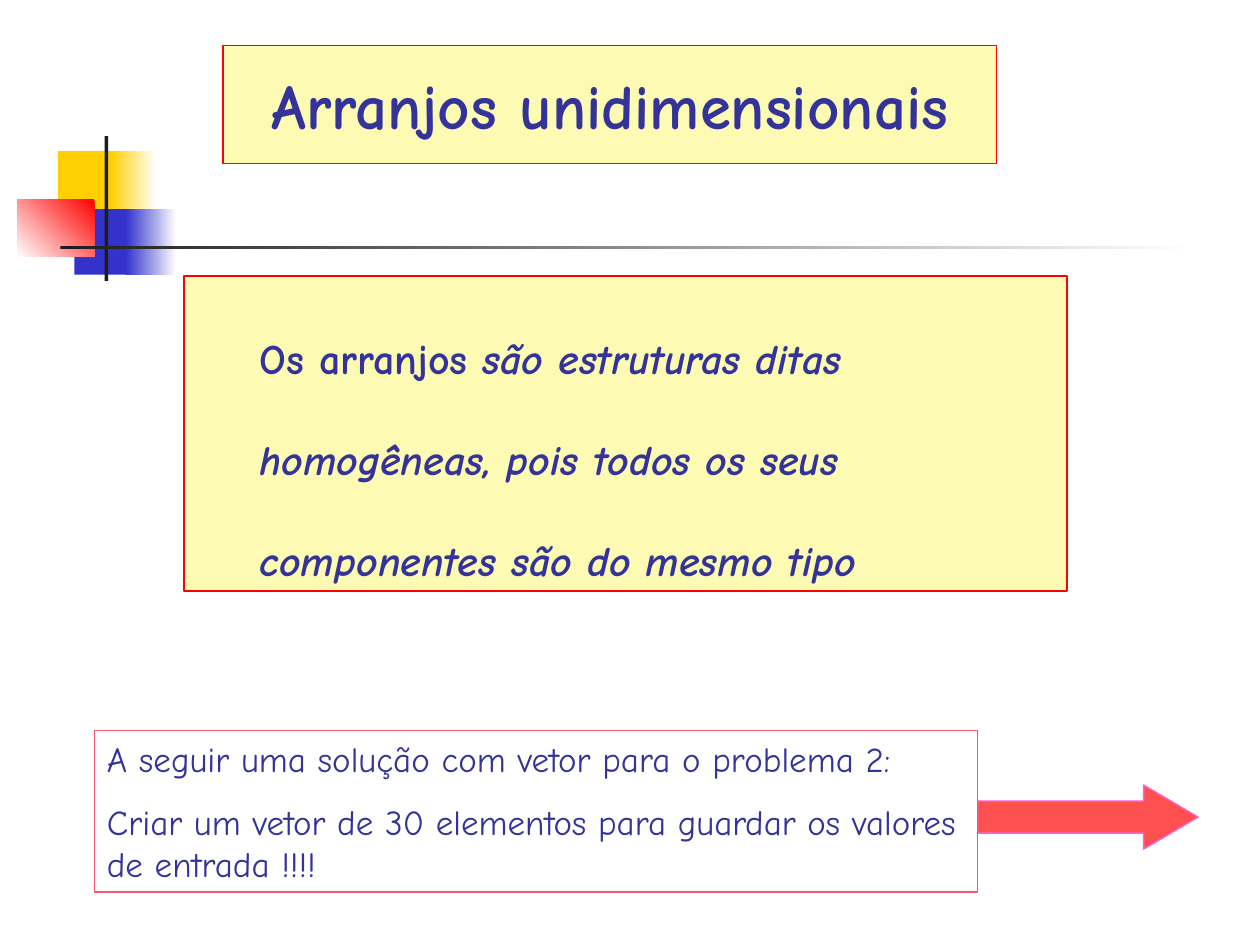
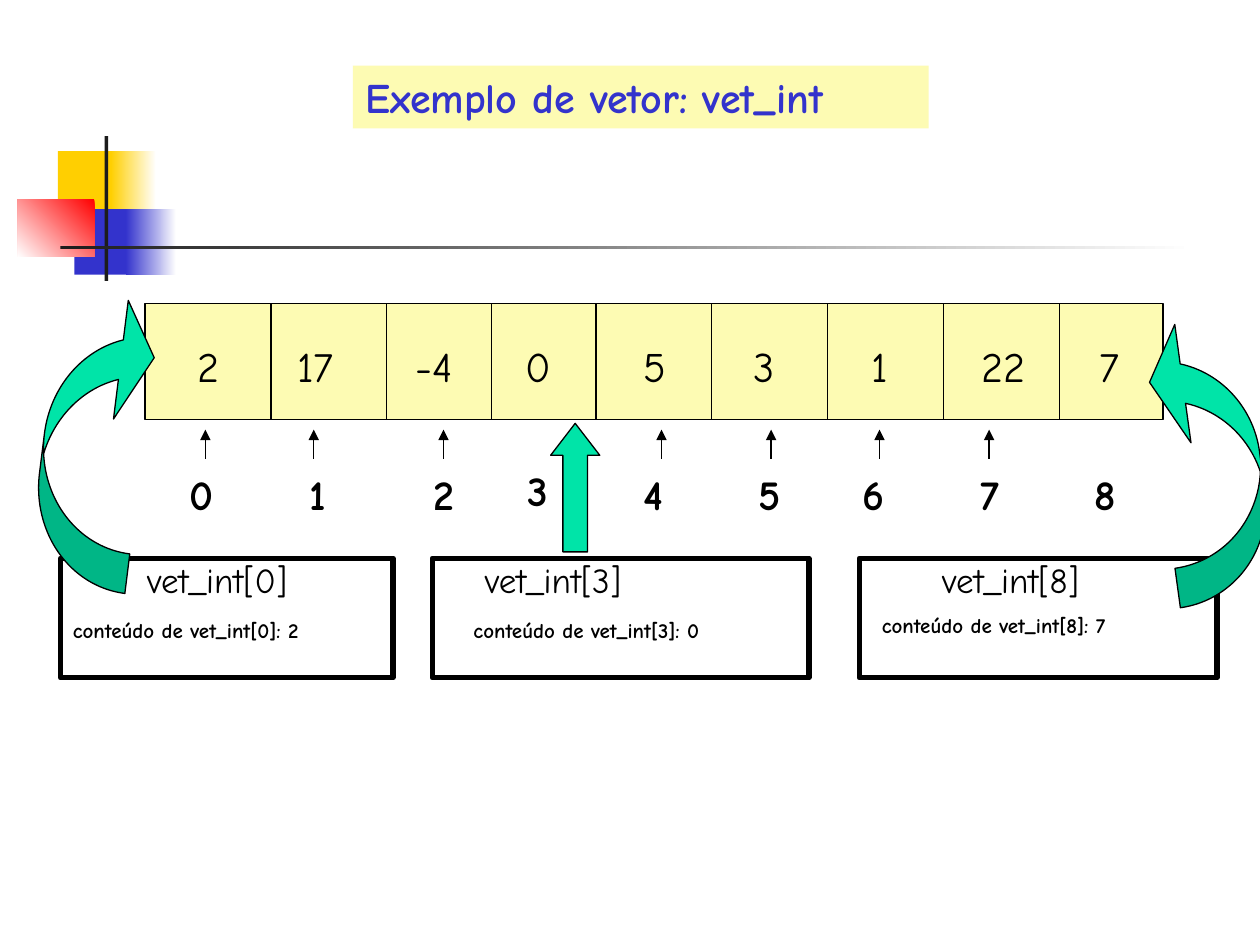
from itertools import accumulate

from lxml import etree
from pptx import Presentation
from pptx.dml.color import RGBColor
from pptx.enum.shapes import MSO_CONNECTOR, MSO_SHAPE
from pptx.enum.text import MSO_ANCHOR, MSO_AUTO_SIZE, PP_ALIGN
from pptx.oxml.ns import qn
from pptx.util import Inches, Pt

RECTANGLE = MSO_SHAPE.RECTANGLE
STRAIGHT = MSO_CONNECTOR.STRAIGHT
TOP, MIDDLE = MSO_ANCHOR.TOP, MSO_ANCHOR.MIDDLE
LEFT, CENTER = PP_ALIGN.LEFT, PP_ALIGN.CENTER

WHITE = RGBColor(0xFF, 0xFF, 0xFF)
BLACK = RGBColor(0x00, 0x00, 0x00)
CHARCOAL = RGBColor(0x1C, 0x1C, 0x1C)
GOLD = RGBColor(0xFF, 0xCF, 0x01)
BLUE = RGBColor(0x33, 0x33, 0xCC)
NAVY = RGBColor(0x33, 0x33, 0x99)
RED = RGBColor(0xFF, 0x00, 0x00)
CREAM = RGBColor(0xFD, 0xFB, 0xB3)
CORAL = RGBColor(0xFF, 0x50, 0x50)
PINK = RGBColor(0xF9, 0x55, 0x70)
MAGENTA = RGBColor(0xF8, 0x64, 0xDC)
GREEN = RGBColor(0x00, 0xE4, 0xA8)

FONT = "Comic Neue"
THIN, THICK = 0.74, 3

DECORATION = [
    ((0.46, 1.2, 0.48, 0.52), GOLD, None),
    ((0.88, 1.2, 0.36, 0.52), GOLD, 0),
    ((0.59, 1.66, 0.46, 0.52), BLUE, None),
    ((1, 1.66, 0.4, 0.52), BLUE, 0),
    ((0.14, 1.58, 0.61, 0.46), RED, 225),
    ((0.83, 1.08, 0.03, 1.15), CHARCOAL, None),
    ((0.48, 1.95, 9, 0.03), CHARCOAL, 0),
]

ROW_TOP, ROW_HEIGHT = 2.41, 0.92
CELL_WIDTHS = [1, 0.92, 0.83, 0.83, 0.92, 0.92, 0.92, 0.92, 0.82]
CELL_EDGES = list(accumulate(CELL_WIDTHS, initial=1.15))
VALUES = ["2", "17", "-4", "0", "5", "3", "1", "22", "7"]
VALUE_LEFTS = [1.47, 2.26, 3.2, 4.07, 5.01, 5.88, 6.82, 7.69, 8.63]
INDEX_LEFTS = [1.41, 2.36, 3.34, 4.09, 5.01, 5.92, 6.75, 7.68, 8.59]
POINTER_CENTERS = [1.63, 2.49, 3.52, 5.25, 6.12, 6.98, 7.85]

CALLOUTS = [
    (0, "2", (0.48, 2.64), 1.07, (0.48, 4.85)),
    (3, "0", (3.43, 2.99), 3.75, (3.66, 4.85)),
    (8, "7", (6.82, 2.84), 7.38, (6.9, 4.81)),
]


def place(shape, box):
    shape.left, shape.top, shape.width, shape.height = map(Inches, box)


def paint(shape, fill=None, line=None, width=THIN):
    if fill is None:
        shape.fill.background()
    else:
        shape.fill.solid()
        shape.fill.fore_color.rgb = fill
    if line is None:
        shape.line.fill.background()
    else:
        shape.line.color.rgb = line
        shape.line.width = Pt(width)


def add_figure(slide, kind, box, fill=None, line=None, width=THIN,
               rotation=0, adjustments=()):
    shape = slide.shapes.add_shape(kind, *map(Inches, box))
    shape.shadow.inherit = False
    shape.rotation = rotation
    for position, value in enumerate(adjustments):
        shape.adjustments[position] = value
    paint(shape, fill, line, width)
    return shape


def format_paragraph(paragraph, size, color, bold=False, before=0, align=LEFT):
    paragraph.alignment = align
    paragraph.space_before = Pt(before)
    font = paragraph.font
    font.name, font.size, font.bold = FONT, Pt(size), bold
    font.color.rgb = color


def write_lines(shape, lines, size, color, bold=False, before=0,
                align=LEFT, anchor=TOP, wrap=True):
    frame = shape.text_frame
    frame.auto_size = MSO_AUTO_SIZE.NONE
    frame.word_wrap = wrap
    frame.vertical_anchor = anchor
    frame.text = "\n".join(lines)
    for paragraph in frame.paragraphs:
        format_paragraph(paragraph, size, color, bold, before, align)


def add_label(slide, box, text, size, **style):
    label = slide.shapes.add_textbox(*map(Inches, box))
    write_lines(label, [text], size, BLACK, **style)


def add_line(slide, start, end, arrow=False):
    connector = slide.shapes.add_connector(STRAIGHT, *map(Inches, start + end))
    connector.line.color.rgb = BLACK
    connector.line.width = Pt(THIN)
    properties = connector.element.spPr
    if arrow:
        outline = properties.find(qn("a:ln"))
        etree.SubElement(outline, qn("a:tailEnd"), type="triangle")
    etree.SubElement(properties, qn("a:effectLst"))


def set_title(slide, box, text, size, color, line=None, **style):
    title = slide.shapes.title
    place(title, box)
    paint(title, CREAM, line)
    write_lines(title, [text], size, color, bold=True, **style)


def decorate_master(presentation, slide):
    tree = presentation.slide_master.shapes.element
    for number, (box, color, angle) in enumerate(DECORATION):
        shape = add_figure(slide, RECTANGLE, box, color)
        if angle is not None:
            shape.fill.gradient()
            shape.fill.gradient_angle = angle
            for stop, tone in zip(shape.fill.gradient_stops, (color, WHITE)):
                stop.color.rgb = tone
        shape.element.nvSpPr.cNvPr.set("id", str(100 + number))
        tree.append(shape.element)


def fill_definition(body):
    place(body, (1.46, 2.19, 7.01, 2.5))
    paint(body, CREAM, RED)
    write_lines(body, ["Os arranjos "], 24, NAVY, bold=True, before=15)
    paragraph = body.text_frame.paragraphs[0]
    paragraph.line_spacing = 2.0
    emphasis = paragraph.add_run()
    emphasis.text = ("são estruturas ditas homogêneas, pois todos os seus "
                     "componentes são do mesmo tipo")
    emphasis.font.italic = True
    properties = paragraph.font._element.getparent()
    properties.set("marL", str(Inches(0.5)))
    properties.set("indent", "0")
    paragraph.font._element.addprevious(etree.Element(qn("a:buNone")))


def build_definition(slide):
    set_title(slide, (1.77, 0.36, 6.14, 0.94), "Arranjos unidimensionais",
              36, NAVY, RED, align=CENTER, anchor=MIDDLE, wrap=False)
    fill_definition(slide.placeholders[1])
    add_figure(slide, MSO_SHAPE.RIGHT_ARROW, (7.76, 6.23, 1.75, 0.51),
               CORAL, MAGENTA, adjustments=(0.5, 0.85))
    solution = add_figure(slide, RECTANGLE, (0.75, 5.8, 7.01, 1.28), line=PINK)
    write_lines(solution, [
        "A seguir uma solução com vetor para o problema 2:",
        "Criar um vetor de 30 elementos para guardar os valores de entrada !!!!",
    ], 20, NAVY, before=12.5)


def add_vector(slide):
    row_width = CELL_EDGES[-1] - CELL_EDGES[0]
    add_figure(slide, RECTANGLE, (CELL_EDGES[0], ROW_TOP, row_width, ROW_HEIGHT),
               CREAM, BLACK)
    for edge in CELL_EDGES[1:-1]:
        add_line(slide, (edge, ROW_TOP), (edge, ROW_TOP + ROW_HEIGHT))
    for left, value in zip(VALUE_LEFTS, VALUES):
        width = 0.39 if len(value) == 1 else 0.65
        add_label(slide, (left, 2.65, width, 0.5), value, 24, before=15)
    for index, left in enumerate(INDEX_LEFTS):
        top = 3.64 if index == 3 else 3.67
        add_label(slide, (left, top, 0.36, 0.5), str(index), 24,
                  bold=True, wrap=False)
    for center in POINTER_CENTERS:
        add_line(slide, (center, 3.64), (center, 3.41), arrow=True)


def add_callouts(slide):
    for index, value, (left, width), name_left, (note_left, note_top) in CALLOUTS:
        name = f"vet_int[{index}]"
        add_figure(slide, RECTANGLE, (left, 4.43, width, 0.95),
                   line=BLACK, width=THICK)
        add_label(slide, (name_left, 4.38, 1.97, 0.44), name, 20, before=12.5)
        add_label(slide, (note_left, note_top, 2.64, 0.3),
                  f"conteúdo de {name}: {value}", 12, bold=True, before=7.5)


def build_example(slide):
    set_title(slide, (2.8, 0.52, 4.57, 0.5), "Exemplo de vetor: vet_int",
              24, BLUE, before=15)
    add_vector(slide)
    add_callouts(slide)
    for kind, box, rotation in (
        (MSO_SHAPE.CURVED_RIGHT_ARROW, (9.21, 2.5, 0.79, 2.28), 172.2),
        (MSO_SHAPE.CURVED_LEFT_ARROW, (0.35, 2.31, 0.79, 2.36), 187.1),
    ):
        add_figure(slide, kind, box, GREEN, BLACK, rotation=rotation,
                   adjustments=(0.4, 1.2, 0.33))
    add_figure(slide, MSO_SHAPE.UP_ARROW, (4.37, 3.36, 0.39, 1.02),
               GREEN, BLACK, adjustments=(0.5, 0.65))


def main():
    presentation = Presentation()
    presentation.slide_width = Inches(10)
    presentation.slide_height = Inches(7.5)
    layouts = presentation.slide_layouts
    definition = presentation.slides.add_slide(layouts.get_by_name("Title and Content"))
    example = presentation.slides.add_slide(layouts.get_by_name("Title Only"))
    decorate_master(presentation, definition)
    build_definition(definition)
    build_example(example)
    presentation.save("out.pptx")


main()
